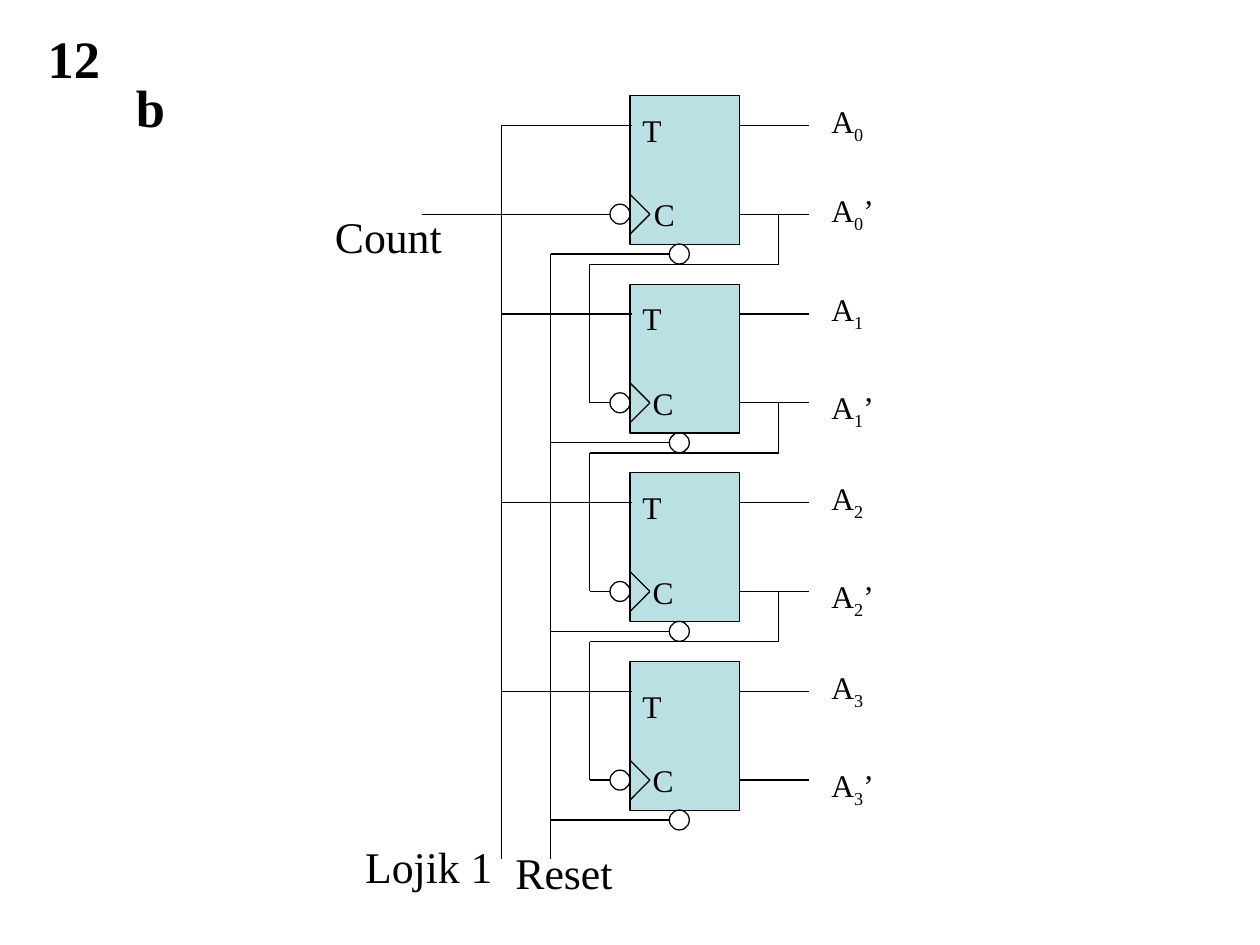
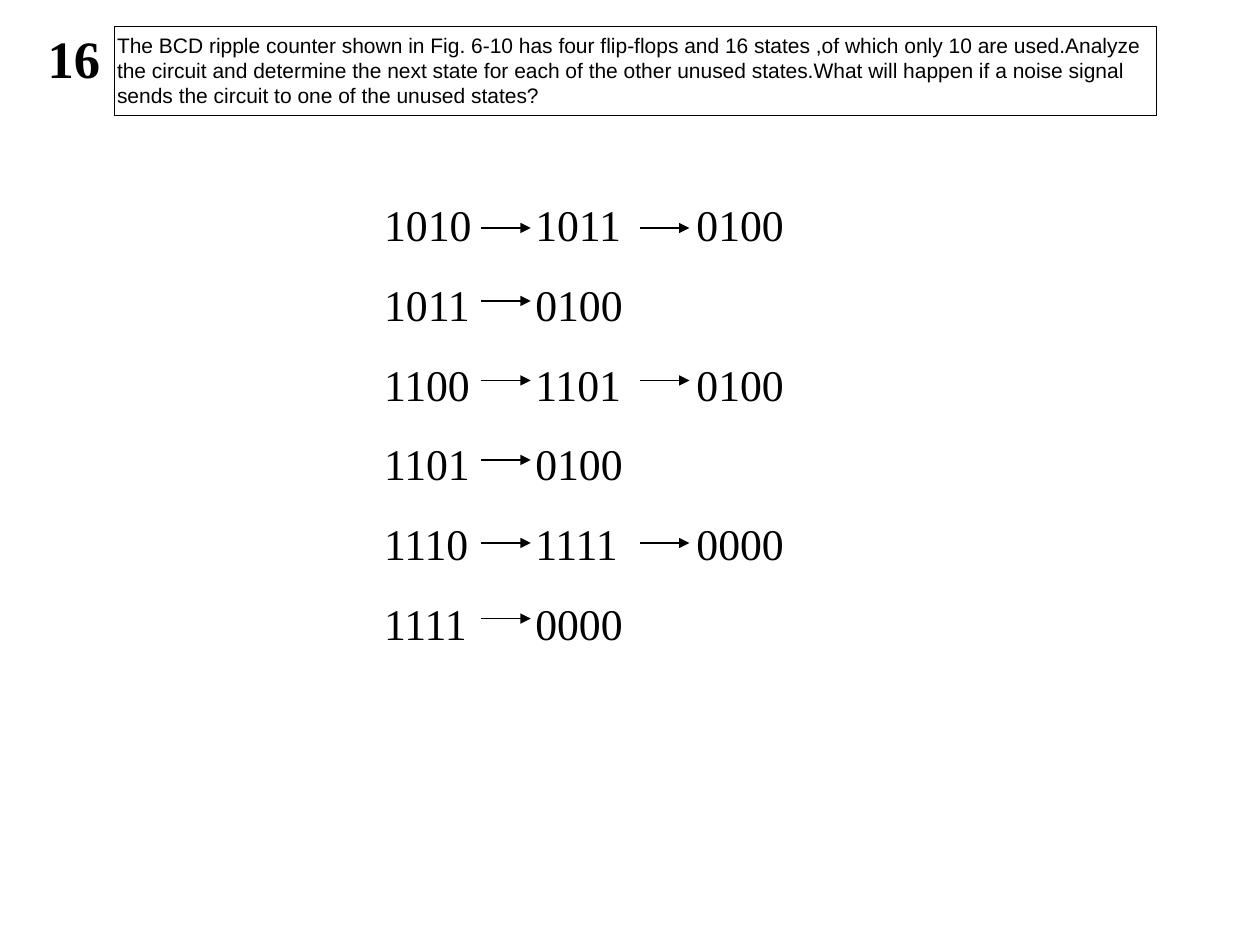
import pptx
import pptx.dml.color
import pptx.enum.shapes
import pptx.enum.text
import pptx.oxml.ns
import pptx.util
from lxml import etree

Pt = pptx.util.Pt
Shape = pptx.enum.shapes.MSO_SHAPE
Text = pptx.enum.text
qn = pptx.oxml.ns.qn

BLACK = "000000"
TEAL = "BBE0E3"
SERIF = "Times New Roman"
SANS = "Arial"
STROKE = 0.75
PITCH = 107.8
BOX_W, BOX_H = 62.6, 85
T_ROW, C_ROW = 17, 67.8
BUBBLE = 11.4
FEED_ROW, RESET_ROW = 96.4, 90.6
LOGIC_X, RESET_X = -73.4, -45.4

FRAME = dict(
    word_wrap=True,
    vertical_anchor=Text.MSO_ANCHOR.TOP,
    auto_size=Text.MSO_AUTO_SIZE.SHAPE_TO_FIT_TEXT,
    margin_left=Pt(7.2), margin_right=Pt(7.2),
    margin_top=Pt(3.6), margin_bottom=Pt(3.6),
)


def tint(code):
    return pptx.dml.color.RGBColor.from_string(code)


def put(item, values):
    for key, value in values.items():
        setattr(item, key, value)


def place(item, left, top, width, height):
    put(item, dict(left=Pt(left), top=Pt(top), width=Pt(width), height=Pt(height)))


def write(frame, rows, size, font=SERIF, bold=False, tabs=()):
    put(frame, FRAME)
    for i, row in enumerate(rows):
        para = frame.add_paragraph() if i else frame.paragraphs[0]
        put(para, dict(alignment=Text.PP_ALIGN.LEFT, space_before=Pt(size * 0.625)))
        if tabs:
            stops = etree.SubElement(para._p.get_or_add_pPr(), qn("a:tabLst"))
            for stop in tabs:
                etree.SubElement(stops, qn("a:tab"), pos=str(int(Pt(stop))), algn="l")
        for j, part in enumerate(row):
            run = para.add_run()
            run.text = part
            put(run.font, dict(size=Pt(size), name=font, bold=bold))
            run.font.color.rgb = tint(BLACK)
            if j % 2:
                run._r.get_or_add_rPr().set("baseline", "-25000")


def label(slide, box, rows, size, **style):
    item = slide.shapes.add_textbox(*map(Pt, box))
    write(item.text_frame, rows, size, **style)


def shape(slide, kind, box, fill=None):
    item = slide.shapes.add_shape(kind, *map(Pt, box))
    item.shadow.inherit = False
    if fill:
        item.fill.solid()
        item.fill.fore_color.rgb = tint(fill)
    else:
        item.fill.background()
    item.line.color.rgb = tint(BLACK)
    item.line.width = Pt(STROKE)


def wire(slide, points, arrow=False):
    for start, end in zip(points, points[1:]):
        item = slide.shapes.add_connector(
            pptx.enum.shapes.MSO_CONNECTOR.STRAIGHT, *map(Pt, start + end))
        item.line.color.rgb = tint(BLACK)
        item.line.width = Pt(STROKE)
        if arrow:
            etree.SubElement(item.line._get_or_add_ln(), qn("a:tailEnd"), type="triangle")
        etree.SubElement(item._element.spPr, qn("a:effectLst"))


def bubble(slide, x, y):
    shape(slide, Shape.FLOWCHART_CONNECTOR,
          (x - BUBBLE / 2, y - BUBBLE / 2, BUBBLE, BUBBLE))


def start(deck, number):
    slide = deck.slides.add_slide(deck.slide_layouts[5])
    title = slide.shapes.title
    place(title, 20, 11.5, 51, 43)
    write(title.text_frame, [[number]], 30, bold=True)
    return slide


def stage(slide, x, y, index, t_drop, c_shift, not_drop):
    right, row = x + BOX_W, y + C_ROW
    shape(slide, Shape.RECTANGLE, (x, y, BOX_W, BOX_H), TEAL)
    wire(slide, [(x, row - BUBBLE), (x + BUBBLE, row), (x, row + BUBBLE)])
    bubble(slide, x - BUBBLE / 2, row)
    bubble(slide, x + 28.2, y + RESET_ROW)
    wire(slide, [(x + LOGIC_X, y + T_ROW), (x + 1.2, y + T_ROW)])
    wire(slide, [(x + RESET_X, y + RESET_ROW), (x + 22.5, y + RESET_ROW)])
    for level in (y + T_ROW, row):
        wire(slide, [(right, level), (x + 102.2, level)])
    label(slide, (x, y + t_drop, 23, 29), [["T"]], 18)
    label(slide, (x + c_shift, y + 53.5, 23, 29), [["C"]], 18)
    label(slide, (x + 108, y, 51, 32), [["A", str(index)]], 18)
    label(slide, (x + 108, y + not_drop, 51, 32), [["A", str(index), "’"]], 18)


def link(slide, x, y):
    feed, row = y + FEED_ROW, y + PITCH + C_ROW
    wire(slide, [(x + 85, y + C_ROW), (x + 85, feed), (x - 23, feed),
                 (x - 23, row), (x - BUBBLE, row)])


def ripple(slide, x, y):
    drops = [(5.5, 6.5, 51), (5, 5.8, 56), (5, 5.8, 56), (11, 5.8, 56)]
    for i, drop in enumerate(drops):
        stage(slide, x, y + i * PITCH, i, *drop)
    for i in range(len(drops) - 1):
        link(slide, x, y + i * PITCH)
    base = y + 436.4
    wire(slide, [(x + LOGIC_X, y + T_ROW), (x + LOGIC_X, base)])
    wire(slide, [(x + RESET_X, y + RESET_ROW), (x + RESET_X, base)])
    wire(slide, [(x - 118.8, y + C_ROW), (x - BUBBLE, y + C_ROW)])
    for name, dx, dy in [("Count", -175.7, 62), ("Lojik 1", -158.4, 422),
                         ("Reset", -72.5, 425)]:
        label(slide, (x + dx, y + dy, 108, 37.4), [[name]], 25)


def prompt(slide, x, y):
    label(slide, (x - 5.7, y, 612, 50.4), [[
        "The BCD ripple counter shown in Fig. 6-10 has four flip-flops and 16 states ,"
        "of which only 10 are used.Analyze the circuit and determine the next state for "
        "each of the other unused states.What will happen if a noise signal sends the "
        "circuit to one of the unused states?"]], 12, font=SANS)
    shape(slide, Shape.RECTANGLE, (x, y, 595.4, 51))


def states(slide, x, y):
    chains = [
        ("1010", "1011", "0100"),
        ("1011", "0100"),
        ("1100", "1101", "0100"),
        ("1101", "0100"),
        ("1110", "1111", "0000"),
        ("1111", "0000"),
    ]
    levels = (20.9, 62.6, 108, 153.4, 200.9, 244.1)
    label(slide, (x, y, 500, 265.7), [["\t".join(chain)] for chain in chains], 25,
          tabs=(86.4, 178.5))
    for chain, level in zip(chains, levels):
        for i in range(len(chain) - 1):
            left = x + 62.6 + i * 90.7
            wire(slide, [(left, y + level), (left + 28.3, y + level)], arrow=True)


def main():
    deck = pptx.Presentation()
    put(deck, dict(slide_width=Pt(720), slide_height=Pt(540)))
    count = start(deck, "12")
    label(count, (70.6, 39.6, 51, 43), [["b"]], 30, bold=True)
    ripple(count, 360, 54.6)
    unused = start(deck, "16")
    states(unused, 212.4, 109.4)
    prompt(unused, 65.5, 15.1)
    deck.save("out.pptx")


if __name__ == "__main__":
    main()
